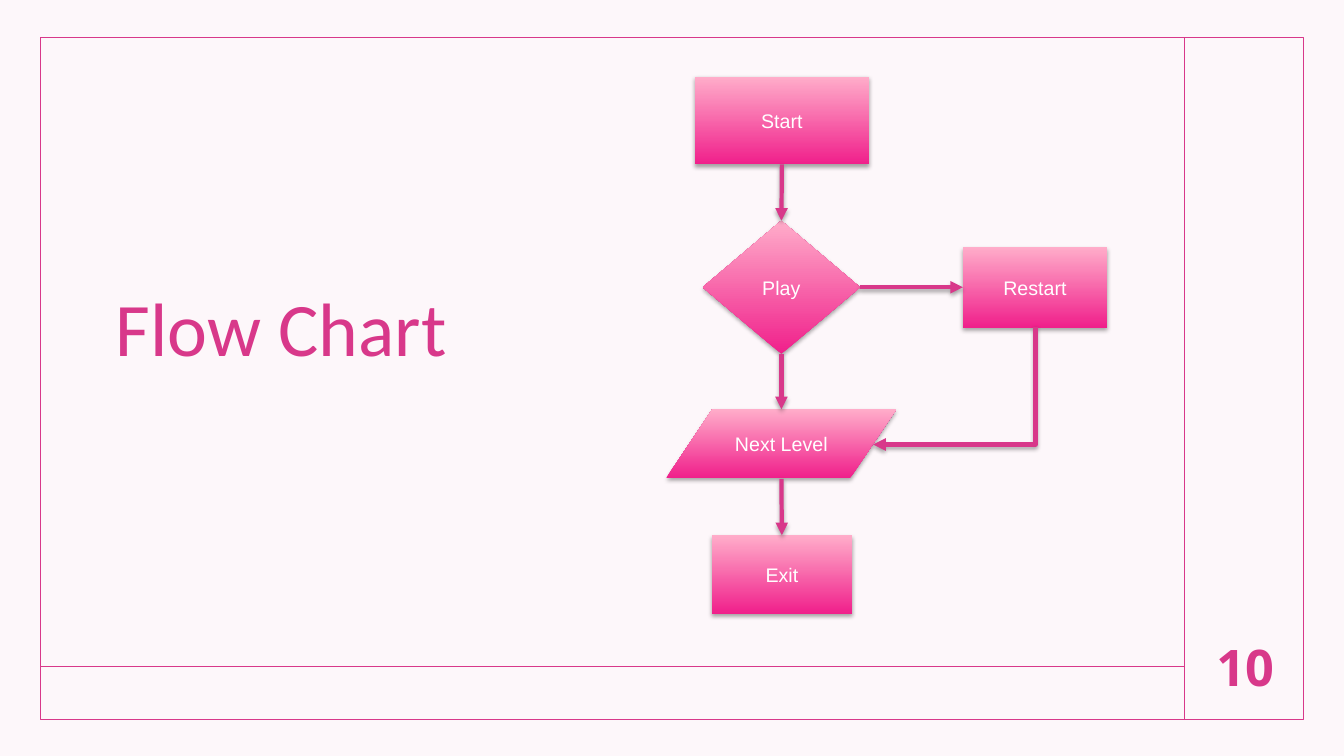
from dataclasses import dataclass
from typing import Optional

import pptx
import pptx.dml.color
import pptx.enum.shapes
import pptx.enum.text
import pptx.oxml
import pptx.oxml.ns
import pptx.util
from pptx.util import Inches

SHAPE = pptx.enum.shapes.MSO_SHAPE
CONNECTOR = pptx.enum.shapes.MSO_CONNECTOR
ALIGN = pptx.enum.text.PP_ALIGN
ANCHOR = pptx.enum.text.MSO_ANCHOR
TOP, LEFT, BOTTOM, RIGHT = range(4)


@dataclass(frozen=True)
class Theme:
    accent: str = "D8388A"
    paper: str = "FDF7FA"
    step_bottom: str = "F0208B"
    step_top: str = "FFADCA"
    step_text: str = "FFFFFF"
    title_size: int = 54
    number_size: int = 36
    step_size: int = 14
    title_font: str = "Calibri"
    number_font: str = "Open Sans"
    step_font: str = "Arial"
    frame_line: float = 1
    arrow_line: float = 3


@dataclass(frozen=True)
class Step:
    label: str
    kind: SHAPE
    left: float
    top: float
    width: float
    height: float


@dataclass(frozen=True)
class Arrow:
    """A straight arrow; a side is set where it joins a step."""
    source: str
    target: str
    start: tuple[float, float]
    end: tuple[float, float]
    source_side: Optional[int] = None
    target_side: Optional[int] = None


THEME = Theme()

STEPS = [
    Step("Start", SHAPE.FLOWCHART_PROCESS, 6.89, 0.76, 1.73, 0.87),
    Step("Play", SHAPE.FLOWCHART_DECISION, 6.97, 2.19, 1.56, 1.32),
    Step("Next Level", SHAPE.FLOWCHART_DATA, 6.61, 4.06, 2.28, 0.68),
    Step("Exit", SHAPE.FLOWCHART_PROCESS, 7.06, 5.31, 1.39, 0.78),
    Step("Restart", SHAPE.FLOWCHART_PROCESS, 9.55, 2.45, 1.43, 0.8),
]

# The slanted step has its own connection points, so arrows there stay free
ARROWS = [
    Arrow("Start", "Play", (7.76, 1.62), (7.75, 2.19), BOTTOM, TOP),
    Arrow("Play", "Next Level", (7.75, 3.5), (7.75, 4.06), BOTTOM),
    Arrow("Next Level", "Exit", (7.75, 4.75), (7.76, 5.31), None, TOP),
    Arrow("Play", "Restart", (8.53, 2.84), (9.55, 2.84), RIGHT, LEFT),
]


def rgb(value: str) -> pptx.dml.color.RGBColor:
    return pptx.dml.color.RGBColor.from_string(value)


def write(shape, text: str, *, size: float, font: str, color: str, bold: bool = False,
          align=ALIGN.CENTER, anchor=ANCHOR.MIDDLE, spacing: float = 1.0) -> None:
    frame = shape.text_frame
    frame.word_wrap = True
    frame.auto_size = pptx.enum.text.MSO_AUTO_SIZE.NONE
    frame.vertical_anchor = anchor
    paragraph = frame.paragraphs[0]
    paragraph.alignment = align
    paragraph.line_spacing = spacing
    run = paragraph.add_run()
    run.text = text
    run.font.size = pptx.util.Pt(size)
    run.font.name = font
    run.font.bold = bold
    run.font.color.rgb = rgb(color)


def set_effects(shape, shadow: bool) -> None:
    """Replace the inherited effects by a soft drop shadow or by none."""
    content = ('<a:outerShdw blurRad="40000" dist="23000" dir="5400000" rotWithShape="0">'
               '<a:srgbClr val="000000"><a:alpha val="35000"/></a:srgbClr></a:outerShdw>')
    shape._element.spPr.append(pptx.oxml.parse_xml(
        f'<a:effectLst {pptx.oxml.ns.nsdecls("a")}>{content if shadow else ""}</a:effectLst>'))


def style_line(shape, width: float) -> None:
    shape.line.color.rgb = rgb(THEME.accent)
    shape.line.width = pptx.util.Pt(width)


def add_line(slide, start: tuple[float, float], end: tuple[float, float], *,
             kind=CONNECTOR.STRAIGHT, arrow: bool = False):
    line = slide.shapes.add_connector(kind, *(Inches(v) for v in (*start, *end)))
    style_line(line, THEME.arrow_line if arrow else THEME.frame_line)
    if arrow:
        line.line._get_or_add_ln().append(pptx.oxml.parse_xml(
            f'<a:tailEnd {pptx.oxml.ns.nsdecls("a")} type="triangle"/>'))
    set_effects(line, shadow=arrow)
    return line


def add_step(slide, step: Step):
    shape = slide.shapes.add_shape(
        step.kind, *(Inches(v) for v in (step.left, step.top, step.width, step.height)))
    shape.fill.gradient()
    shape.fill.gradient_angle = 90
    for stop, color in zip(shape.fill.gradient_stops, (THEME.step_bottom, THEME.step_top)):
        stop.color.rgb = rgb(color)
    shape.line.fill.background()
    set_effects(shape, shadow=True)
    write(shape, step.label, size=THEME.step_size, font=THEME.step_font, color=THEME.step_text)
    return shape


def add_arrow(slide, arrow: Arrow, steps: dict) -> None:
    line = add_line(slide, arrow.start, arrow.end, arrow=True)
    if arrow.source_side is not None:
        line.begin_connect(steps[arrow.source], arrow.source_side)
    if arrow.target_side is not None:
        line.end_connect(steps[arrow.target], arrow.target_side)


def add_down_left_arrow(slide, start: tuple[float, float], end: tuple[float, float]) -> None:
    """Run down and then left: a one-bend connector turned by 90 degrees."""
    across, down = start[0] - end[0], end[1] - start[1]
    left = (start[0] + end[0] - down) / 2
    top = (start[1] + end[1] - across) / 2
    line = add_line(slide, (left, top), (left + down, top + across),
                    kind=CONNECTOR.ELBOW, arrow=True)
    properties = line._element.spPr
    properties.find(pptx.oxml.ns.qn("a:xfrm")).set("rot", "5400000")
    properties.find(pptx.oxml.ns.qn("a:prstGeom")).set("prst", "bentConnector2")


def main() -> None:
    deck = pptx.Presentation()
    deck.slide_width, deck.slide_height = Inches(13.33), Inches(7.5)
    slide = deck.slides.add_slide(deck.slide_layouts[5])
    slide.background.fill.solid()
    slide.background.fill.fore_color.rgb = rgb(THEME.paper)

    # Frame with its two dividers
    border = slide.shapes.add_shape(
        SHAPE.RECTANGLE, Inches(0.4), Inches(0.37), Inches(12.53), Inches(6.77))
    border.fill.background()
    style_line(border, THEME.frame_line)
    set_effects(border, shadow=False)
    add_line(slide, (11.75, 0.37), (11.75, 7.13))
    add_line(slide, (0.41, 6.61), (11.75, 6.61))

    # Title and page number
    title = slide.shapes.title
    title.left, title.top = Inches(1.05), Inches(1.94)
    title.width, title.height = Inches(4.3), Inches(1.81)
    write(title, "Flow Chart", size=THEME.title_size, font=THEME.title_font,
          color=THEME.accent, align=ALIGN.LEFT, anchor=ANCHOR.BOTTOM, spacing=0.9)
    page_number = slide.shapes.add_textbox(
        Inches(11.83), Inches(6.2), Inches(1.04), Inches(0.83))
    write(page_number, "10", size=THEME.number_size, font=THEME.number_font,
          color=THEME.accent, bold=True)

    # Flow chart
    steps = {step.label: add_step(slide, step) for step in STEPS}
    for arrow in ARROWS:
        add_arrow(slide, arrow, steps)
    add_down_left_arrow(slide, (10.27, 3.24), (8.66, 4.41))

    deck.save("out.pptx")


if __name__ == "__main__":
    main()
